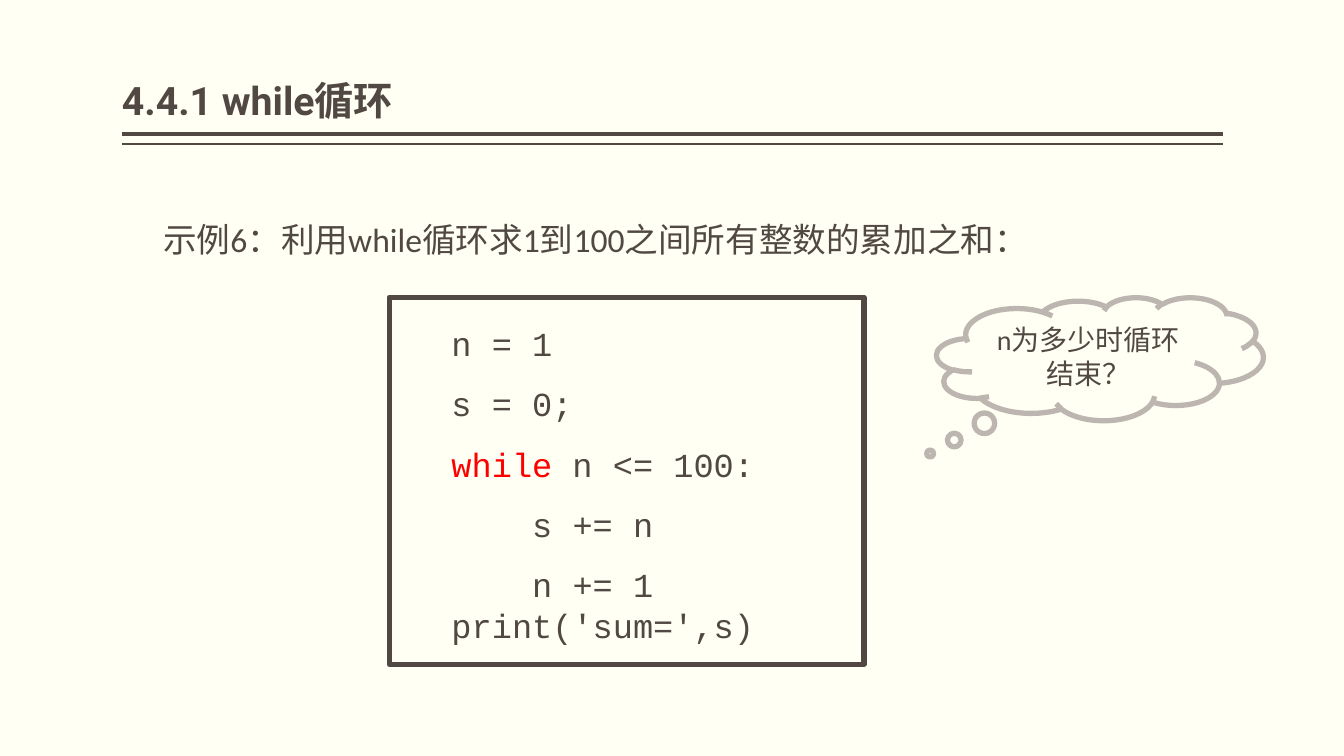
from dataclasses import dataclass

from lxml.etree import SubElement
from pptx import Presentation
from pptx.dml.color import RGBColor
from pptx.enum.shapes import MSO_CONNECTOR, MSO_SHAPE
from pptx.enum.text import MSO_ANCHOR, MSO_AUTO_SIZE, PP_ALIGN
from pptx.oxml.ns import qn
from pptx.util import Inches, Pt


@dataclass(frozen=True)
class Theme:
    background: str = "FFFFF3"
    ink: str = "514843"
    keyword: str = "FF0000"
    cloud: str = "BDB5B0"
    title_font: str = "Roboto"
    body_font: str = "Calibri"
    code_font: str = "Courier New"
    title_size: int = 28
    body_size: int = 24
    cloud_size: int = 20
    outline: float = 3.78


def apply_format(target, values):
    for name, value in values.items():
        setattr(target, name, value)


class LessonPage:
    def __init__(self, deck, theme):
        self.theme = theme
        self.page = deck.slides.add_slide(deck.slide_layouts[5])
        fill = self.page.background.fill
        fill.solid()
        fill.fore_color.rgb = RGBColor.from_string(theme.background)

    def fill_text(self, frame, lines, font, size, bold=False, **paragraph_format):
        for index, line in enumerate(lines):
            para = frame.paragraphs[0] if index == 0 else frame.add_paragraph()
            apply_format(para, paragraph_format)
            for words, color in line:
                span = para.add_run()
                span.text = words
                apply_format(span.font, {"name": font, "size": Pt(size), "bold": bold})
                span.font.color.rgb = RGBColor.from_string(color)

    def title(self, words, left, top, width, height):
        box = self.page.shapes.title
        apply_format(box, {"left": Inches(left), "top": Inches(top),
                           "width": Inches(width), "height": Inches(height)})
        apply_format(box.text_frame, {
            "margin_left": 0, "margin_right": 0, "word_wrap": True,
            "vertical_anchor": MSO_ANCHOR.BOTTOM, "auto_size": MSO_AUTO_SIZE.NONE})
        self.fill_text(box.text_frame, [[(words, self.theme.ink)]], self.theme.title_font,
                       self.theme.title_size, bold=True,
                       alignment=PP_ALIGN.LEFT, line_spacing=0.9)

    def rule(self, left, right, y, weight):
        line = self.page.shapes.add_connector(
            MSO_CONNECTOR.STRAIGHT, Inches(left), Inches(y), Inches(right), Inches(y))
        line.line.width = Pt(weight)
        line.line.color.rgb = RGBColor.from_string(self.theme.ink)
        SubElement(line._element.spPr, qn("a:effectLst"))

    def text(self, lines, font, left, top, width, height, **paragraph_format):
        box = self.page.shapes.add_textbox(
            Inches(left), Inches(top), Inches(width), Inches(height))
        apply_format(box.text_frame, {
            "word_wrap": True, "auto_size": MSO_AUTO_SIZE.SHAPE_TO_FIT_TEXT})
        self.fill_text(box.text_frame, lines, font, self.theme.body_size,
                       **paragraph_format)
        return box

    def outline(self, kind, color, left, top, width, height):
        shape = self.page.shapes.add_shape(
            kind, Inches(left), Inches(top), Inches(width), Inches(height))
        shape.shadow.inherit = False
        shape.fill.background()
        shape.line.width = Pt(self.theme.outline)
        shape.line.color.rgb = RGBColor.from_string(color)
        SubElement(shape._element.spPr.find(qn("a:ln")), qn("a:round"))
        return shape

    def thought(self, words, tail, left, top, width, height):
        cloud = self.outline(MSO_SHAPE.CLOUD_CALLOUT, self.theme.cloud,
                             left, top, width, height)
        for index, offset in enumerate(tail):
            cloud.adjustments[index] = offset
        apply_format(cloud.text_frame, {
            "word_wrap": True, "vertical_anchor": MSO_ANCHOR.MIDDLE})
        self.fill_text(cloud.text_frame, [[(words, self.theme.ink)]],
                       self.theme.body_font, self.theme.cloud_size,
                       alignment=PP_ALIGN.CENTER)


def main():
    theme = Theme()
    deck = Presentation()
    apply_format(deck, {"slide_width": Inches(13.33), "slide_height": Inches(7.5)})
    lesson = LessonPage(deck, theme)

    for y, weight in ((1.33, 3), (1.43, 1)):
        lesson.rule(1.21, 12.13, y, weight)
    lesson.title("4.4.1 while循环", 1.21, 0.08, 10.92, 1.2)

    task = "示例6：利用while循环求1到100之间所有整数的累加之和："
    lesson.text([[(task, theme.ink)]], theme.body_font, 1.52, 1.92, 8.95, 0.71,
                line_spacing=1.5)

    code = [
        [("n = 1", theme.ink)],
        [("s = 0;", theme.ink)],
        [("while", theme.keyword), (" n <= 100:", theme.ink)],
        [("    s += n", theme.ink)],
        [("    n += 1", theme.ink)],
        [("print('sum=',s)", theme.ink)],
    ]
    listing = lesson.text(code, theme.code_font, 4.38, 2.95, 6.67, 3.53,
                          alignment=PP_ALIGN.JUSTIFY, line_spacing=1.5)
    apply_format(listing.text_frame.paragraphs[-1],
                 {"alignment": PP_ALIGN.LEFT, "line_spacing": 1.0})
    lesson.outline(MSO_SHAPE.RECTANGLE, theme.ink, 3.86, 2.95, 4.71, 3.64)
    lesson.thought("n为多少时循环结束？", (-0.52, 0.77), 9.29, 2.95, 3.24, 1.22)

    deck.save("out.pptx")


if __name__ == "__main__":
    main()
